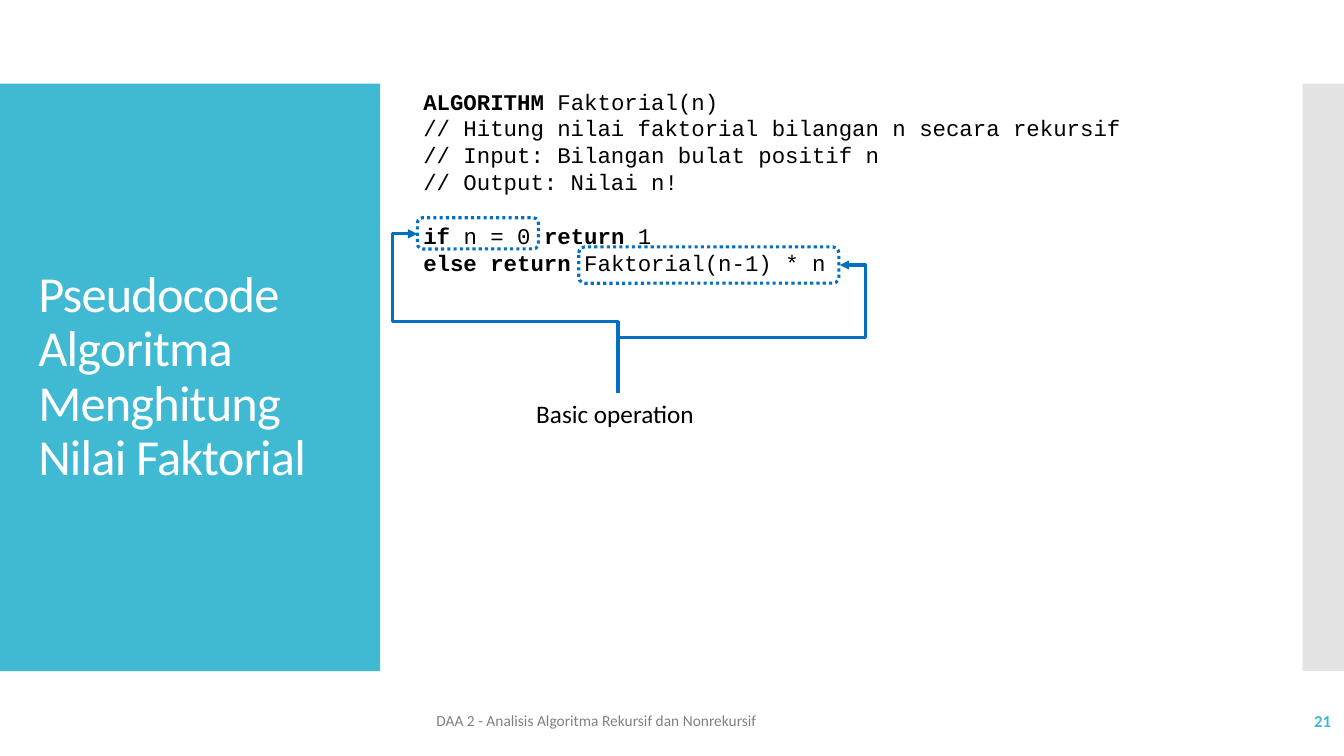
from lxml import etree
from pptx import Presentation
from pptx import util as u
from pptx.dml.color import RGBColor
from pptx.enum import dml, shapes, text
from pptx.oxml.ns import qn

PX = 9144  # 100 px to the inch
TEAL = RGBColor(0x40, 0xBA, 0xD2)
SILVER = RGBColor(0xC8, 0xC8, 0xC8)
GREY = RGBColor(0x80, 0x80, 0x80)
BLUE = RGBColor(0x00, 0x70, 0xC0)
BLACK = RGBColor(0, 0, 0)
WHITE = RGBColor(0xFF, 0xFF, 0xFF)
SANS, MONO = "Calibri", "Courier New"
CODE_LINE = u.Pt(19.2)

# Each line is a list of (text, bold) runs.
HEADER = [
    [("ALGORITHM", True), (" Faktorial(n)", False)],
    [("// Hitung nilai faktorial bilangan n secara rekursif", False)],
    [("// Input: Bilangan bulat positif n", False)],
    [("// Output: Nilai n!", False)],
]
BODY = [
    [("if ", True), ("n = 0 ", False), ("return ", True), ("1", False)],
    [("else return ", True), ("Faktorial(n-1) * n", False)],
]


def emu(*lengths):
    return [u.Emu(round(n * PX)) for n in lengths]


def add_run(p, content, size, color, font=SANS, bold=False):
    r = p.add_run()
    r.text = content
    r.font.name = font
    r.font.size = u.Pt(size)
    r.font.bold = bold
    r.font.color.rgb = color
    return r


def add_panel(s, box, color, opacity=100):
    sp = s.shapes.add_shape(shapes.MSO_SHAPE.RECTANGLE, *emu(*box))
    sp.shadow.inherit = False
    sp.fill.solid()
    sp.fill.fore_color.rgb = color
    sp.line.fill.background()
    if opacity < 100:
        clr = sp.element.spPr.find(qn("a:solidFill"))[0]
        etree.SubElement(clr, qn("a:alpha"), val=str(opacity * 1000))


def add_textbox(s, box, wrap=True, anchor=text.MSO_ANCHOR.TOP):
    tf = s.shapes.add_textbox(*emu(*box)).text_frame
    tf.word_wrap = wrap
    tf.vertical_anchor = anchor
    return tf


def add_title(s, box, content):
    title = s.shapes.title
    title.left, title.top, title.width, title.height = emu(*box)
    title.element.getparent().append(title.element)  # in front of the panel
    tf = title.text_frame
    tf.word_wrap = True
    tf.auto_size = text.MSO_AUTO_SIZE.NONE
    tf.vertical_anchor = text.MSO_ANCHOR.MIDDLE
    p = tf.paragraphs[0]
    p.alignment = text.PP_ALIGN.LEFT
    p.line_spacing = 0.9
    r = add_run(p, content, 36, WHITE)
    r.font._element.set("spc", "-60")


def add_footer(s, box, content, size, color, align, bold=False):
    tf = add_textbox(s, box, anchor=text.MSO_ANCHOR.MIDDLE)
    p = tf.paragraphs[0]
    p.alignment = align
    add_run(p, content, size, color, bold=bold)


def add_code(s, box):
    tf = add_textbox(s, box)
    for i, line in enumerate(HEADER + BODY):
        p = tf.add_paragraph() if i else tf.paragraphs[0]
        p.line_spacing = CODE_LINE
        if i == len(HEADER):
            p.space_before = CODE_LINE
        for content, bold in line:
            add_run(p, content, 16, BLACK, MONO, bold)


def add_highlight(s, box):
    sp = s.shapes.add_shape(shapes.MSO_SHAPE.ROUNDED_RECTANGLE, *emu(*box))
    sp.shadow.inherit = False
    sp.fill.background()
    sp.line.color.rgb = BLUE
    sp.line.width = u.Pt(2.25)
    sp.line.dash_style = dml.MSO_LINE.ROUND_DOT


def add_elbow_arrow(s, start, end, turn_y, outer_x):
    """Go up from start to turn_y, across to outer_x, up, and back to end."""
    (x0, y0), (x1, y1) = start, end
    w, h = y0 - y1, abs(x1 - x0)  # size before the quarter turn
    left, top = (x0 + x1 - w) / 2, (y0 + y1 - h) / 2
    c = s.shapes.add_connector(
        shapes.MSO_CONNECTOR.ELBOW, *emu(left, top, left + w, top + h))
    c.line.color.rgb = BLUE
    c.line.width = u.Pt(2.25)
    spPr = c.element.spPr
    xfrm = spPr.find(qn("a:xfrm"))
    xfrm.set("flipV", "1")
    if x1 > x0:
        xfrm.set("flipH", "1")
    xfrm.set("rot", str((90 if x1 > x0 else 270) * 60000))
    geom = spPr.find(qn("a:prstGeom"))
    geom.set("prst", "bentConnector4")
    guides = geom.get_or_add_avLst()
    ratios = (y0 - turn_y) / w, abs(outer_x - x0) / h
    for i, ratio in enumerate(ratios, 1):
        etree.SubElement(guides, qn("a:gd"), name=f"adj{i}",
                         fmla=f"val {round(ratio * 100000)}")
    etree.SubElement(spPr.find(qn("a:ln")), qn("a:tailEnd"), type="triangle")
    etree.SubElement(spPr, qn("a:effectLst"))


def main():
    prs = Presentation()
    prs.slide_width, prs.slide_height = emu(1333, 750)
    s = prs.slides.add_slide(prs.slide_layouts[5])

    add_panel(s, (0, 83, 377, 583), TEAL)
    add_panel(s, (1292, 83, 41, 583), SILVER, opacity=50)
    add_title(s, (28, 123, 322, 503),
              "Pseudocode Algoritma Menghitung Nilai Faktorial")
    add_footer(s, (423, 695, 646, 40),
               "DAA 2 - Analisis Algoritma Rekursif dan Nonrekursif",
               11, GREY, text.PP_ALIGN.LEFT)
    add_footer(s, (1163, 695, 167, 40), "21", 12, TEAL,
               text.PP_ALIGN.RIGHT, bold=True)

    add_code(s, (410, 82, 872, 199))
    label = add_textbox(s, (522, 390, 181, 40), wrap=False)
    add_run(label.paragraphs[0], "Basic operation", 18, BLACK)

    add_highlight(s, (414, 216, 120, 31))
    add_highlight(s, (574, 245, 258, 36))
    label_top = (613, 390)
    add_elbow_arrow(s, label_top, (414, 232), turn_y=319, outer_x=389)
    add_elbow_arrow(s, label_top, (833, 263), turn_y=335, outer_x=858)

    prs.save("out.pptx")


if __name__ == "__main__":
    main()
